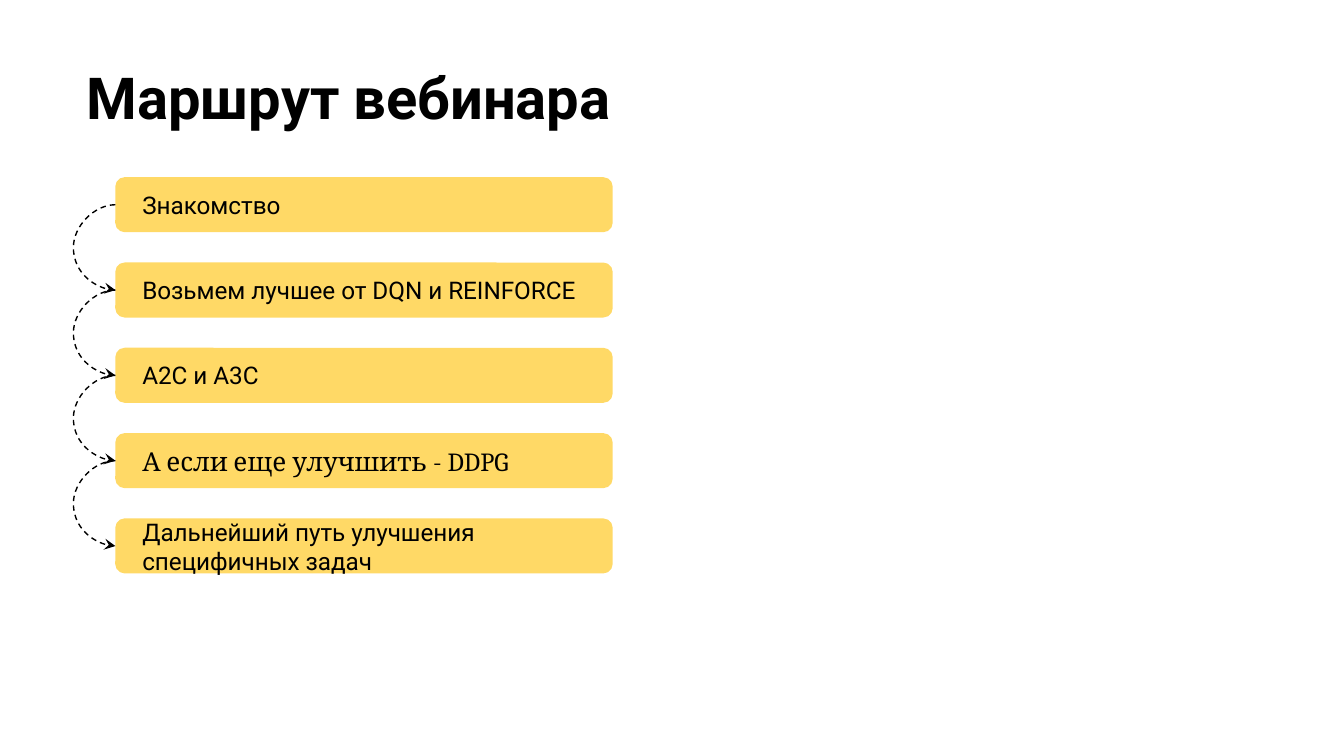
from dataclasses import dataclass

from lxml import etree
from pptx import Presentation
from pptx import util as u
from pptx.dml.color import RGBColor
from pptx.enum import dml, shapes, text
from pptx.oxml.ns import qn


@dataclass(frozen=True)
class Theme:
    ink: RGBColor = RGBColor(0x00, 0x00, 0x00)
    step: RGBColor = RGBColor(0xFF, 0xD9, 0x66)
    font: str = "Roboto"
    accent_font: str = "Cambria"
    title_size: int = 31
    step_size: int = 13
    accent_size: int = 14
    line_width: float = 0.75


THEME = Theme()
STEPS = [
    ("Знакомство", False),
    ("Возьмем лучшее от DQN и REINFORCE", False),
    ("A2C и A3C", False),
    ("А если еще улучшить - DDPG", True),
    ("Дальнейший путь улучшения специфичных задач", False),
]


def set_text(sp, words, font, size, bold, anchor, side_inset):
    tf = sp.text_frame
    tf.text = words
    tf.word_wrap = True
    tf.auto_size = text.MSO_AUTO_SIZE.NONE
    tf.vertical_anchor = anchor
    tf.margin_left = tf.margin_right = side_inset
    tf.margin_top = tf.margin_bottom = u.Cm(0.25)
    p = tf.paragraphs[0]
    p.alignment = text.PP_ALIGN.LEFT
    f = p.runs[0].font
    f.name, f.size, f.bold = font, u.Pt(size), bold
    f.color.rgb = THEME.ink


def add_title(s, left, top, width, height):
    sp = s.shapes.title
    sp.left, sp.top, sp.width, sp.height = left, top, width, height
    set_text(sp, "Маршрут вебинара", THEME.font, THEME.title_size, True,
             text.MSO_ANCHOR.TOP, u.Cm(0.25))


def add_step(s, left, top, width, height, words, accent):
    sp = s.shapes.add_shape(shapes.MSO_SHAPE.ROUNDED_RECTANGLE,
                            left, top, width, height)
    sp.adjustments[0] = 0.17
    sp.shadow.inherit = False
    sp.fill.solid()
    sp.fill.fore_color.rgb = THEME.step
    sp.line.fill.background()
    font = THEME.accent_font if accent else THEME.font
    size = THEME.accent_size if accent else THEME.step_size
    set_text(sp, words, font, size, False, text.MSO_ANCHOR.MIDDLE, u.Cm(0.46))
    return sp


def add_link(s, start, end):
    """Dashed curve that bulges left from one step to the next."""
    cx = s.shapes.add_connector(shapes.MSO_CONNECTOR.CURVE,
                                start.left, start.top + start.height // 2,
                                end.left, end.top + end.height // 2)
    left_side = 1
    cx.begin_connect(start, left_side)
    cx.end_connect(end, left_side)
    cx.line.color.rgb = THEME.ink
    cx.line.width = u.Pt(THEME.line_width)
    cx.line.dash_style = dml.MSO_LINE.DASH

    # The bulge is a share of the width, so the width must not be zero
    cx.width = u.Emu(600)
    bulge = u.Cm(0.66) / cx.width
    sp_pr = cx._element.spPr
    guides = sp_pr.find(qn("a:prstGeom")).get_or_add_avLst()
    etree.SubElement(guides, qn("a:gd"), name="adj1",
                     fmla=f"val {round(-bulge * 100000)}")
    etree.SubElement(sp_pr.find(qn("a:ln")), qn("a:tailEnd"), type="stealth")
    etree.SubElement(sp_pr, qn("a:effectLst"))


def add_route(s, left, top, width, height):
    """Equal steps spread over the height, linked on their left side."""
    step_height = u.Cm(1.04)
    pitch = (height - step_height) // (len(STEPS) - 1)
    boxes = [add_step(s, left, top + i * pitch, width, step_height, *step)
             for i, step in enumerate(STEPS)]
    for start, end in zip(boxes, boxes[1:]):
        add_link(s, start, end)


def main():
    prs = Presentation()
    prs.slide_width, prs.slide_height = u.Cm(25.4), u.Cm(14.29)
    s = prs.slides.add_slide(prs.slide_layouts.get_by_name("Title Only"))
    add_title(s, u.Cm(1.39), u.Cm(0.92), u.Cm(23.67), u.Cm(3.05))
    add_route(s, u.Cm(2.18), u.Cm(3.35), u.Cm(9.4), u.Cm(7.49))
    prs.save("out.pptx")


if __name__ == "__main__":
    main()
